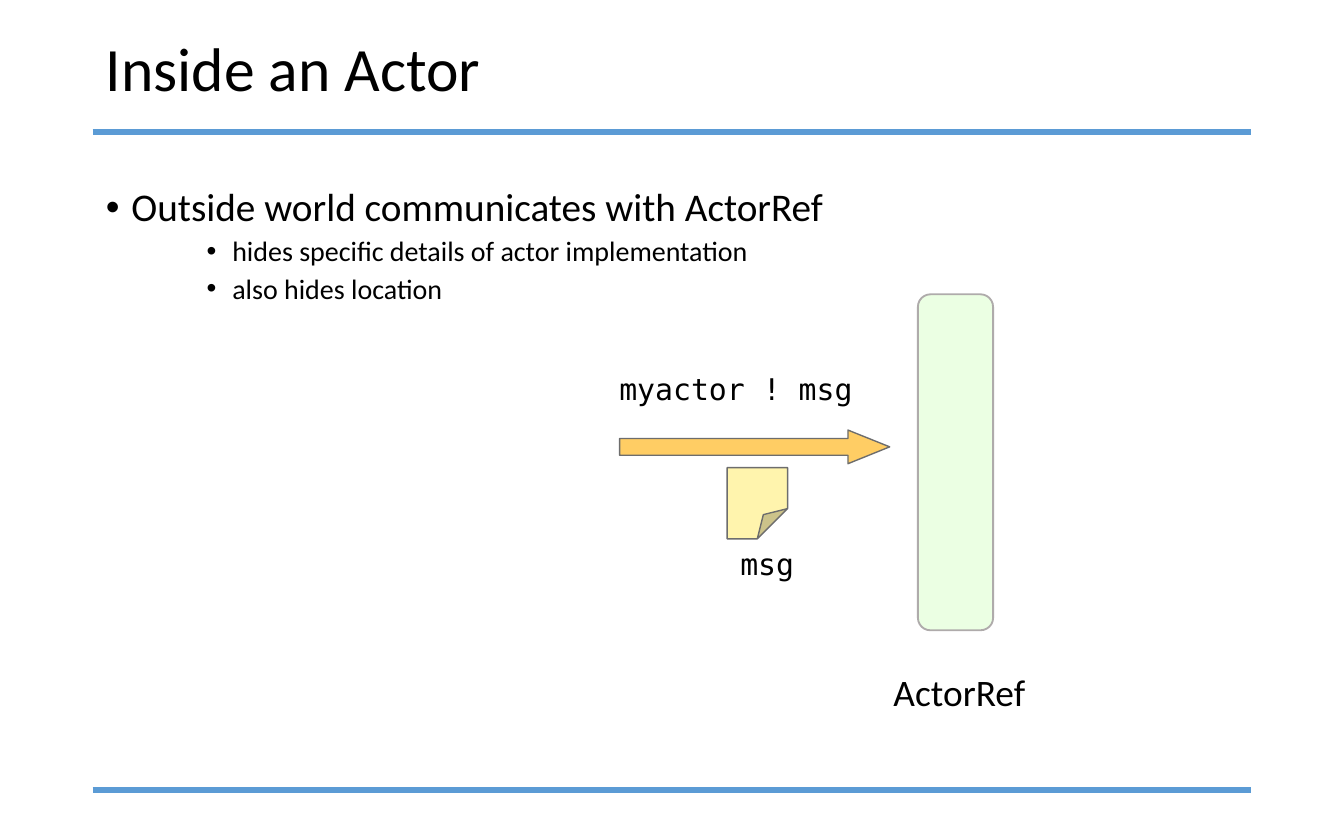
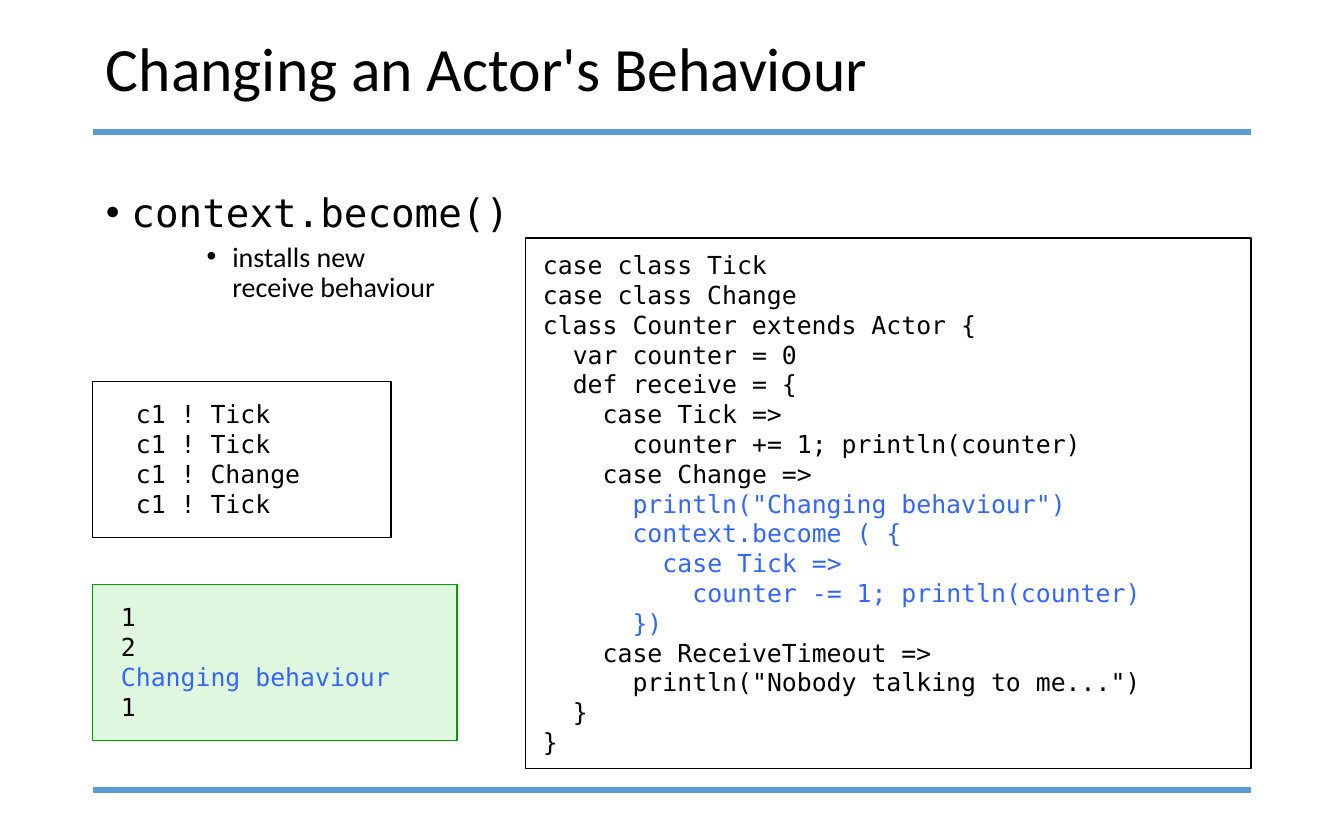
from copy import deepcopy
from pptx import Presentation
from pptx.dml.color import RGBColor
from pptx.enum.shapes import MSO_CONNECTOR, MSO_SHAPE
from pptx.enum.text import MSO_ANCHOR, PP_ALIGN
from pptx.oxml import parse_xml
from pptx.oxml.ns import nsdecls, qn
from pptx.util import Inches, Pt

THEME = {
    "sans": "Calibri", "mono": "DejaVu Sans Mono",
    "text": "000000", "accent": "3366FF", "band": "5B9BD5",
    "title": 33, "bullet": 21, "sub": 15, "label": 20, "message": 16, "code": 13.3,
}
LEFT, WIDTH = 0.69, 8.62
BAND_TOPS = (0.98, 5.88)
CHAR = 0.602 * THEME["code"] / 72  # width of one code character, in inches
INSETS = (0.1, 0.05, 0.1, 0.05)

# Content: bullets are (level, font, text), code lines are (indent, text, colour)
ACTOR = {
    "title": "Inside an Actor",
    "top": 1.35, "height": 1.18,
    "bullets": [
        (0, "sans", "Outside world communicates with ActorRef"),
        (2, "sans", "hides specific details of actor implementation"),
        (2, "sans", "also hides location"),
    ],
    # shape, box, fill, line, line width, adjustments
    "shapes": [
        (MSO_SHAPE.RIGHT_ARROW, (4.61, 3.2, 2.01, 0.25), "FFCD64", "6D6D6D", 0.75,
         {"adj1": 0.5, "adj2": 1.24}),
        (MSO_SHAPE.FOLDED_CORNER, (5.41, 3.48, 0.45, 0.53), "FFF4AD", "6D6D6D", 0.75,
         {"adj": 0.5}),
        (MSO_SHAPE.ROUNDED_RECTANGLE, (6.83, 2.19, 0.56, 2.5), "EBFFE3", "AFABAB", 1, {}),
    ],
    # text, box, font, size
    "labels": [
        ("ActorRef", (6.55, 4.93, 1.34, 0.44), "sans", "label"),
        ("myactor ! msg", (4.51, 2.71, 2.05, 0.37), "mono", "message"),
        ("msg", (5.41, 4.01, 0.68, 0.37), "mono", "message"),
    ],
}
BEHAVIOUR = {
    "title": "Changing an Actor's Behaviour",
    "top": 1.39, "height": 2.1,
    "bullets": [
        (0, "mono", "context.become()"),
        (2, "sans", "installs new\vreceive behaviour"),
    ],
    "listings": [
        {"box": (3.91, 1.77, 5.4, 3.95), "fill": "FFFFFF", "line": "000000",
         "insets": (0.13, 0.09, 0.1, 0.05), "lines": [
             (0, "case class Tick", "text"),
             (0, "case class Change", "text"),
             (0, "class Counter extends Actor {", "text"),
             (2, "var counter = 0", "text"),
             (2, "def receive = {", "text"),
             (4, "case Tick =>", "text"),
             (6, "counter += 1; println(counter)", "text"),
             (4, "case Change =>", "text"),
             (6, 'println("Changing behaviour")', "accent"),
             (6, "context.become ( {", "accent"),
             (8, "case Tick =>", "accent"),
             (10, "counter -= 1; println(counter)", "accent"),
             (6, "})", "accent"),
             (4, "case ReceiveTimeout =>", "text"),
             (6, 'println("Nobody talking to me...")', "text"),
             (2, "}", "text"),
             (0, "}", "text")]},
        {"box": (LEFT, 2.84, 2.22, 1.16), "fill": "FFFFFF", "line": "000000",
         "insets": (0.1, 0.13, 0.1, 0.13), "lines": [
             (2, "c1 ! Tick", "text"),
             (2, "c1 ! Tick", "text"),
             (2, "c1 ! Change", "text"),
             (2, "c1 ! Tick", "text")]},
        {"box": (LEFT, 4.35, 2.71, 1.16), "fill": "E0F8E0", "line": "009D00",
         "insets": (0.1, 0.13, 0.1, 0.13), "lines": [
             (1, "1", "text"),
             (1, "2", "text"),
             (1, "Changing behaviour", "accent"),
             (1, "1", "text")]},
    ],
}


def rgb(value):
    return RGBColor.from_string(value)


def setup_frame(sp, insets=INSETS, anchor=MSO_ANCHOR.TOP):
    tf = sp.text_frame
    tf.word_wrap = True
    tf.vertical_anchor = anchor
    for side, inset in zip(("left", "top", "right", "bottom"), insets):
        setattr(tf, f"margin_{side}", Inches(inset))
    return tf


def add_text_box(slide, box, anchor=MSO_ANCHOR.TOP):
    return setup_frame(slide.shapes.add_textbox(*map(Inches, box)), anchor=anchor)


def add_paragraph(tf, first, text, font, size, color="text", indent=0, **formats):
    p = tf.paragraphs[0] if first else tf.add_paragraph()
    p.text = text
    for name, value in {"alignment": PP_ALIGN.LEFT, **formats}.items():
        setattr(p, name, value)
    for r in p.runs:
        for name, value in {"name": THEME[font], "size": Pt(THEME[size])}.items():
            setattr(r.font, name, value)
        r.font.color.rgb = rgb(THEME[color])
    # Line breaks take the size of the text around them
    for br in p._p.findall(qn("a:br")):
        br.append(deepcopy(p.runs[0]._r.rPr))
    if indent:
        p._p.get_or_add_pPr().set("marL", str(Inches(indent)))
    return p


def add_shape(slide, kind, box, fill, line, width, adjustments=None):
    sp = slide.shapes.add_shape(kind, *map(Inches, box))
    sp.shadow.inherit = False
    sp.fill.solid()
    sp.fill.fore_color.rgb = rgb(fill)
    sp.line.color.rgb = rgb(line)
    sp.line.width = Pt(width)
    if adjustments:
        geometry = sp._element.spPr.find(qn("a:prstGeom"))
        for old in geometry.findall(qn("a:avLst")):
            geometry.remove(old)
        guides = "".join(f'<a:gd name="{name}" fmla="val {round(value * 100000)}"/>'
                         for name, value in adjustments.items())
        geometry.append(parse_xml(f'<a:avLst {nsdecls("a")}>{guides}</a:avLst>'))
    return sp


def add_bullets(slide, content):
    tf = add_text_box(slide, (LEFT, content["top"], 7.64, content["height"]))
    for i, (level, font, text) in enumerate(content["bullets"]):
        p = add_paragraph(tf, i == 0, text, font, "sub" if level else "bullet",
                          indent=0.19 + 0.375 * level, level=level, line_spacing=0.9,
                          space_before=Pt(3.8 if level else 7.5))
        pPr = p._p.get_or_add_pPr()
        pPr.set("indent", str(-Inches(0.19)))
        pPr.append(parse_xml(f'<a:buFont {nsdecls("a")} typeface="Arial"/>'))
        pPr.append(parse_xml(f'<a:buChar {nsdecls("a")} char="•"/>'))


def add_listing(slide, listing):
    sp = add_shape(slide, MSO_SHAPE.RECTANGLE, listing["box"], listing["fill"],
                   listing["line"], 0.75)
    tf = setup_frame(sp, listing["insets"])
    for i, (indent, text, color) in enumerate(listing["lines"]):
        add_paragraph(tf, i == 0, text, "mono", "code", color, indent * CHAR)


def add_slide(prs, content):
    slide = prs.slides.add_slide(prs.slide_layouts[6])
    # Bands
    for top in BAND_TOPS:
        line = slide.shapes.add_connector(
            MSO_CONNECTOR.STRAIGHT, *map(Inches, (LEFT, top, LEFT + WIDTH, top)))
        line.line.color.rgb = rgb(THEME["band"])
        line.line.width = Pt(3)
        line._element.spPr.append(parse_xml(f'<a:effectLst {nsdecls("a")}/>'))
    # Title and bullets
    tf = add_text_box(slide, (LEFT, 0.18, WIDTH, 0.7), MSO_ANCHOR.MIDDLE)
    add_paragraph(tf, True, content["title"], "sans", "title", line_spacing=0.9)
    add_bullets(slide, content)
    # Diagram
    for shape in content.get("shapes", ()):
        add_shape(slide, *shape)
    for text, box, font, size in content.get("labels", ()):
        add_paragraph(add_text_box(slide, box), True, text, font, size)
    # Code
    for listing in content.get("listings", ()):
        add_listing(slide, listing)


prs = Presentation()
prs.slide_width, prs.slide_height = Inches(10), Inches(6.25)
for content in (ACTOR, BEHAVIOUR):
    add_slide(prs, content)
prs.save("out.pptx")
